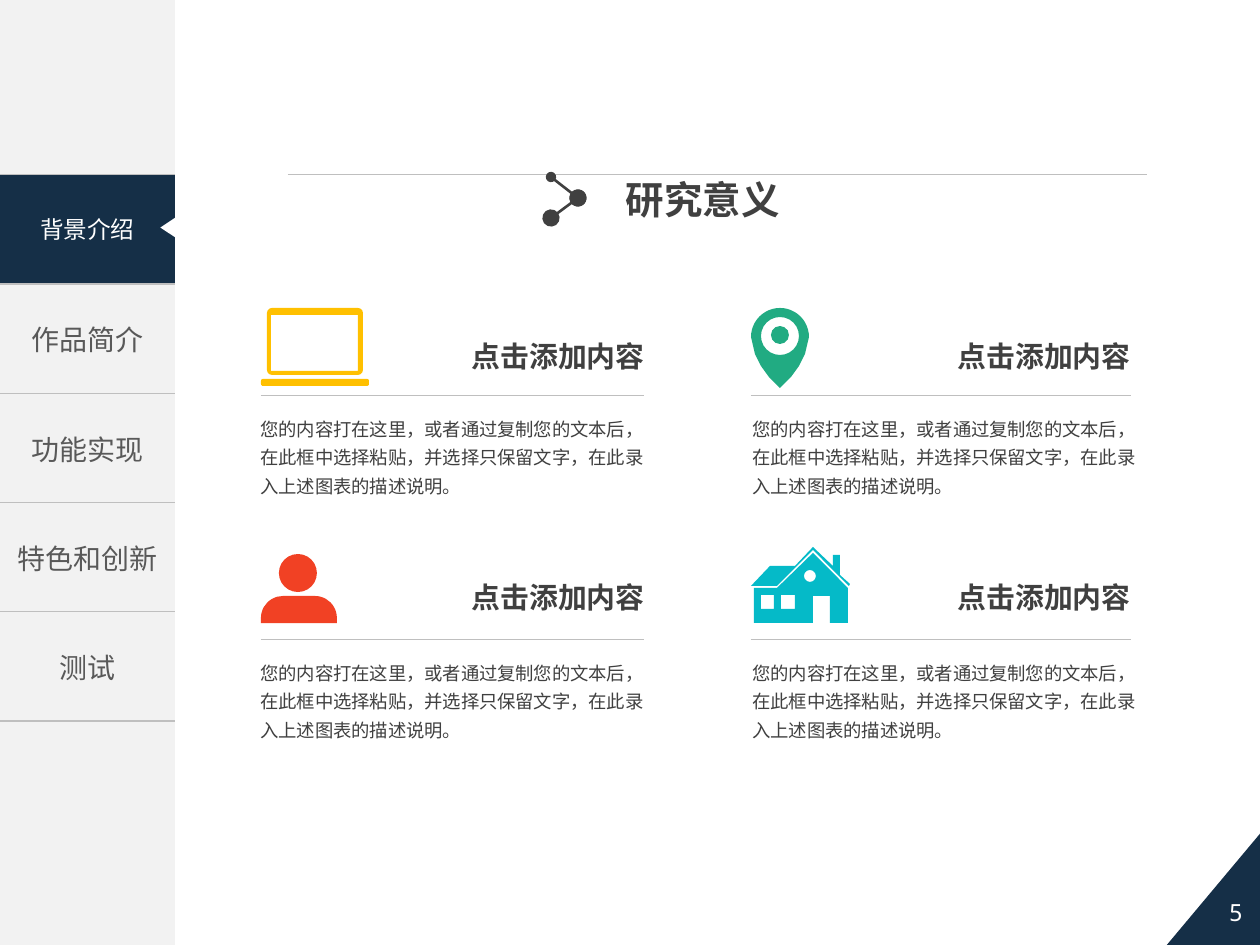
from lxml import etree
from pptx import Presentation
from pptx import util as u
from pptx.dml.color import RGBColor
from pptx.enum import shapes, text
from pptx.oxml.ns import qn

# Content
TITLE = "研究意义"
TABS = ["背景介绍", "作品简介", "功能实现", "特色和创新", "测试"]
PAGE = "5"
HEADING = "点击添加内容"
BODY = "您的内容打在这里，或者通过复制您的文本后，在此框中选择粘贴，并选择只保留文字，在此录入上述图表的描述说明。"
NAVY, DARK, GREY, RULE, PALE, WHITE = "152F47", "404040", "595959", "BFBFBF", "F2F2F2", "FFFFFF"
CJK = "Noto Sans CJK SC"

# Layout in px
PX = 914400 / 126
SIDE_W, TABS_TOP, TABS_H = 175, 175, 546
INSET = 13
COLUMNS = [(261, 644, 644, 261), (751, 1131, 1130, 753)]  # rule ends, heading end, body start
ROWS = [(332, 395), (573, 639)]                           # heading top, rule height


# Icon outlines: a pair is a point, a triple is an arc (radius, start angle, sweep)
def circle(cx, cy, r):
    return [(cx + r, cy), (r, 0, 180), (r, 180, 180)]


def box(left, top, right, bottom):
    return [(left, top), (right, top), (right, bottom), (left, bottom)]


def round_box(left, top, right, bottom, r):
    return [(left, top + r), (r, 180, 90), (right - r, top), (r, 270, 90),
            (right, bottom - r), (r, 0, 90), (left + r, bottom), (r, 90, 90)]


LAPTOP = [round_box(261, 379, 369, 386, 2), round_box(267, 308, 363, 375, 5),
          box(271, 315, 358, 371)]
PIN = [[(751, 337), (29, 180, 180), (805, 354), (799, 366), (791, 377), (780, 388),
        (769, 377), (761, 366), (755, 354)],
       circle(780, 336, 19), circle(780, 335, 9)]
PERSON = [circle(298, 573, 19),
          [(261, 618), (22, 180, 90), (315, 596), (22, 270, 90), (337, 623), (261, 623)]]
HOUSE = [[(848, 588), (813, 553), (777, 588), (754, 588), (754, 623), (813, 623),
          (813, 596), (830, 596), (830, 623), (848, 623)],
         box(761, 595, 774, 609), box(781, 595, 795, 609), circle(810, 576, 6),
         [(850, 584), (849, 586), (813, 550), (777, 586), (751, 586), (770, 566),
          (795, 566), (813, 547), (833, 566), (833, 555), (840, 555), (840, 575)]]
ICONS = [  # outline, bounds, colour
    (LAPTOP, (261, 308, 369, 386), "FFC000"), (PIN, (751, 308, 809, 388), "21AB82"),
    (PERSON, (261, 554, 337, 623), "F14124"), (HOUSE, (751, 547, 850, 623), "05BAC8")]


# Helpers
def px(*lengths):
    return [u.Emu(round(n * PX)) for n in lengths]


def rgb(value):
    return RGBColor.from_string(value)


def plain(shape, fill):
    shape.shadow.inherit = False
    shape.fill.solid()
    shape.fill.fore_color.rgb = rgb(fill)
    shape.line.fill.background()
    return shape


def write(frame, words, size, color, font=CJK, bold=False, align=text.PP_ALIGN.LEFT, spacing=None):
    frame.text = words
    paragraph = frame.paragraphs[0]
    paragraph.alignment = align
    paragraph.line_spacing = spacing
    face = paragraph.font
    face.size, face.bold, face.name = u.Pt(size), bold, font
    face.color.rgb = rgb(color)
    latin = paragraph._p.pPr.find(qn("a:defRPr")).find(qn("a:latin"))
    latin.addnext(etree.Element(qn("a:ea"), typeface=CJK))


def add_text(area, words, size, color, anchor=text.MSO_ANCHOR.TOP, wrap=True, **style):
    frame = slide.shapes.add_textbox(*px(*area)).text_frame
    frame.word_wrap, frame.vertical_anchor = wrap, anchor
    write(frame, words, size, color, **style)


def add_line(x1, y1, x2, y2, color=RULE, width=0.5, ends=()):
    line = slide.shapes.add_connector(shapes.MSO_CONNECTOR.STRAIGHT, *px(x1, y1, x2, y2))
    line.line.color.rgb = rgb(color)
    line.line.width = u.Pt(width)
    for tag, size in zip(("a:headEnd", "a:tailEnd"), ends):
        etree.SubElement(line.line._get_or_add_ln(), qn(tag), type="oval", w=size, len=size)
    etree.SubElement(line._element.spPr, qn("a:effectLst"))


def add_icon(contours, bounds, color):
    left, top = bounds[:2]
    first, *rest = box(*bounds)
    builder = slide.shapes.build_freeform(*first, scale=PX)
    builder.add_line_segments(rest)
    icon = plain(builder.convert_to_shape(), color)
    outline = next(icon._element.iter(qn("a:path")))
    for step in list(outline):
        outline.remove(step)
    for contour in contours:
        for i, part in enumerate(contour):
            if len(part) == 2:
                step = etree.SubElement(outline, qn("a:lnTo" if i else "a:moveTo"))
                etree.SubElement(step, qn("a:pt"), x=str(part[0] - left), y=str(part[1] - top))
            else:
                r, start, sweep = part
                etree.SubElement(outline, qn("a:arcTo"), wR=str(r), hR=str(r),
                                 stAng=str(start * 60000), swAng=str(sweep * 60000))
        etree.SubElement(outline, qn("a:close"))


def set_borders(cell):
    properties = cell._tc.get_or_add_tcPr()
    for position, side in enumerate("LRTB"):
        border = etree.Element(qn(f"a:ln{side}"), w=str(u.Pt(1)))
        if side in "LR":
            etree.SubElement(border, qn("a:noFill"))
        else:
            fill = etree.SubElement(border, qn("a:solidFill"))
            etree.SubElement(fill, qn("a:srgbClr"), val=RULE)
        properties.insert(position, border)


prs = Presentation()
prs.slide_width, prs.slide_height = px(1260, 945)
slide = prs.slides.add_slide(prs.slide_layouts[5])
add_shape = slide.shapes.add_shape
kinds = shapes.MSO_SHAPE

# Side bar with tabs
plain(add_shape(kinds.RECTANGLE, *px(0, 0, SIDE_W, 945)), PALE)
tabs = slide.shapes.add_table(len(TABS), 1, *px(0, TABS_TOP, SIDE_W, TABS_H)).table
tabs.first_row = tabs.horz_banding = False
for i, name in enumerate(TABS):
    tab = tabs.cell(i, 0)
    tab.fill.background()
    set_borders(tab)
    tab.vertical_anchor = text.MSO_ANCHOR.MIDDLE
    tab.margin_left, tab.margin_right = px(9, 9)
    if i:
        write(tab.text_frame, name, 16, GREY, align=text.PP_ALIGN.CENTER)

# Current tab with its pointer
current = plain(add_shape(kinds.RECTANGLE, *px(0, TABS_TOP, SIDE_W, 108)), NAVY)
current.text_frame.vertical_anchor = text.MSO_ANCHOR.MIDDLE
write(current.text_frame, TABS[0], 13.5, WHITE, align=text.PP_ALIGN.CENTER)
pointer = plain(add_shape(kinds.ISOSCELES_TRIANGLE, *px(158, 220, 20, 15)), WHITE)
pointer.rotation = 270

# Page corner
corner = plain(add_shape(kinds.RIGHT_TRIANGLE, *px(1166, 829, 98, 117)), NAVY)
corner._element.spPr.xfrm.set("flipH", "1")
add_text((1206, 878, 60, 69), PAGE, 13.5, WHITE, text.MSO_ANCHOR.MIDDLE,
         font="Noto Sans Mono", align=text.PP_ALIGN.CENTER)

# Title with its rule and linked dots
add_line(288, 174, 1147, 174)
title = slide.shapes.title
title.left, title.top, title.width, title.height = px(617, 171, 175, 57)
frame = title.text_frame
frame.word_wrap, frame.vertical_anchor = False, text.MSO_ANCHOR.TOP
frame.margin_left, frame.margin_right, frame.margin_top, frame.margin_bottom = px(9, 9, 5, 5)
write(frame, TITLE, 22, DARK, font="Arial", bold=True)
add_line(551, 177, 578, 198, DARK, 1.5, ("med", "lg"))
add_line(578, 198, 551, 218, DARK, 1.5, ("lg", "lg"))

# Four items
for i, icon in enumerate(ICONS):
    left, right, heading_end, body_left = COLUMNS[i % 2]
    heading_top, rule_y = ROWS[i // 2]
    add_icon(*icon)
    add_line(left, rule_y, right, rule_y)
    add_text((heading_end + INSET - 200, heading_top, 200, 48), HEADING, 16.5, DARK,
             text.MSO_ANCHOR.MIDDLE, wrap=False, bold=True, align=text.PP_ALIGN.RIGHT)
    add_text((body_left - INSET, rule_y + 10, 420, 100), BODY, 10.5, DARK, spacing=1.3)

prs.save("out.pptx")
